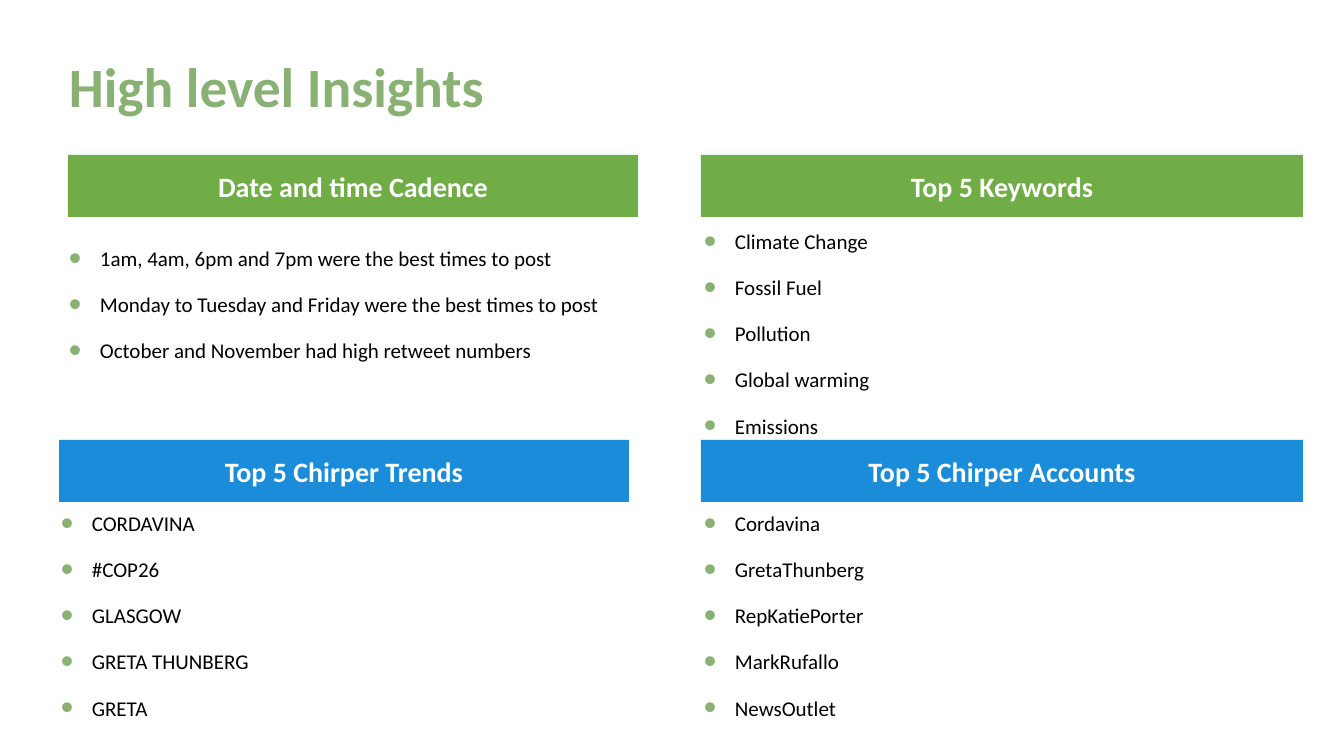
from collections import namedtuple

from lxml import etree
from pptx import Presentation
from pptx import util as u
from pptx.dml.color import RGBColor
from pptx.enum import shapes, text
from pptx.oxml import ns

Panel = namedtuple("Panel", "heading accent banner list_box level items")

# Boxes are (left, top, width, height) in px.
SLIDE_SIZE = (1344, 756)
TITLE = "High level Insights"
TITLE_BOX = (59, 56, 579, 67)
PANELS = [
    Panel("Date and time Cadence", "green", (68, 155, 570, 62), (59, 236, 570, 132), 0, [
        "1am, 4am, 6pm and 7pm were the best times to post",
        "Monday to Tuesday and Friday were the best times to post",
        "October and November had high retweet numbers",
    ]),
    Panel("Top 5 Keywords", "green", (701, 155, 602, 62), (643, 219, 659, 272), 1, [
        "Climate Change", "Fossil Fuel", "Pollution", "Global warming", "Emissions",
    ]),
    Panel("Top 5 Chirper Trends", "blue", (59, 440, 570, 62), (0, 501, 629, 272), 1, [
        "CORDAVINA", "#COP26", "GLASGOW", "GRETA THUNBERG", "GRETA",
    ]),
    Panel("Top 5 Chirper Accounts", "blue", (701, 440, 602, 62), (643, 501, 602, 272), 1, [
        "Cordavina", "GretaThunberg", "RepKatiePorter", "MarkRufallo", "NewsOutlet",
    ]),
]
HANGING = 31
LEVEL_STEP = 51

THEME = {
    "font": "Calibri",
    "colors": {"title": "89B173", "green": "70AD47", "blue": "1A8CD9",
               "white": "FFFFFF", "body": "000000"},
    "sizes": {"title": 39.6, "heading": 20, "body": 15},
    "bullet_percent": 170,
}


def px(length):
    return u.Emu(round(length * 914400 / 100.8))


def color(name):
    return RGBColor.from_string(THEME["colors"][name])


def add_span(para, words, size, color_name, bold=False):
    span = para.add_run()
    span.text = words
    span.font.name = THEME["font"]
    span.font.size = u.Pt(THEME["sizes"][size])
    span.font.bold = bold
    span.font.color.rgb = color(color_name)


def add_text_box(page, box):
    frame = page.shapes.add_textbox(*map(px, box)).text_frame
    frame.word_wrap = True
    return frame


def add_bullet(para, level):
    """Give the paragraph a round bullet with a hanging indent."""
    props = para._p.get_or_add_pPr()
    props.set("marL", str(px(HANGING + level * LEVEL_STEP)))
    props.set("indent", str(-px(HANGING)))
    tint = etree.SubElement(props, ns.qn("a:buClr"))
    etree.SubElement(tint, ns.qn("a:srgbClr"), val=THEME["colors"]["title"])
    etree.SubElement(props, ns.qn("a:buSzPct"), val=str(THEME["bullet_percent"] * 1000))
    etree.SubElement(props, ns.qn("a:buFont"), typeface="Arial")
    etree.SubElement(props, ns.qn("a:buChar"), char="•")


def add_title(page):
    frame = add_text_box(page, TITLE_BOX)
    frame.vertical_anchor = text.MSO_ANCHOR.MIDDLE
    para = frame.paragraphs[0]
    para.line_spacing = 0.9
    add_span(para, TITLE, "title", "title", bold=True)


def add_list(page, panel):
    frame = add_text_box(page, panel.list_box)
    for index, item in enumerate(panel.items):
        para = frame.add_paragraph() if index else frame.paragraphs[0]
        para.level = panel.level
        para.line_spacing = 1.17
        para.space_after = u.Pt(12)
        add_bullet(para, panel.level)
        add_span(para, item, "body", "body")


def add_banner(page, panel):
    banner = page.shapes.add_shape(shapes.MSO_SHAPE.RECTANGLE, *map(px, panel.banner))
    banner.shadow.inherit = False
    banner.fill.solid()
    banner.fill.fore_color.rgb = color(panel.accent)
    banner.line.fill.background()
    banner.text_frame.vertical_anchor = text.MSO_ANCHOR.MIDDLE
    para = banner.text_frame.paragraphs[0]
    para.alignment = text.PP_ALIGN.CENTER
    add_span(para, panel.heading, "heading", "white", bold=True)


def main():
    deck = Presentation()
    deck.slide_width, deck.slide_height = map(px, SLIDE_SIZE)
    page = deck.slides.add_slide(deck.slide_layouts[6])
    add_title(page)
    for panel in PANELS:
        add_list(page, panel)
        add_banner(page, panel)
    deck.save("out.pptx")


if __name__ == "__main__":
    main()
